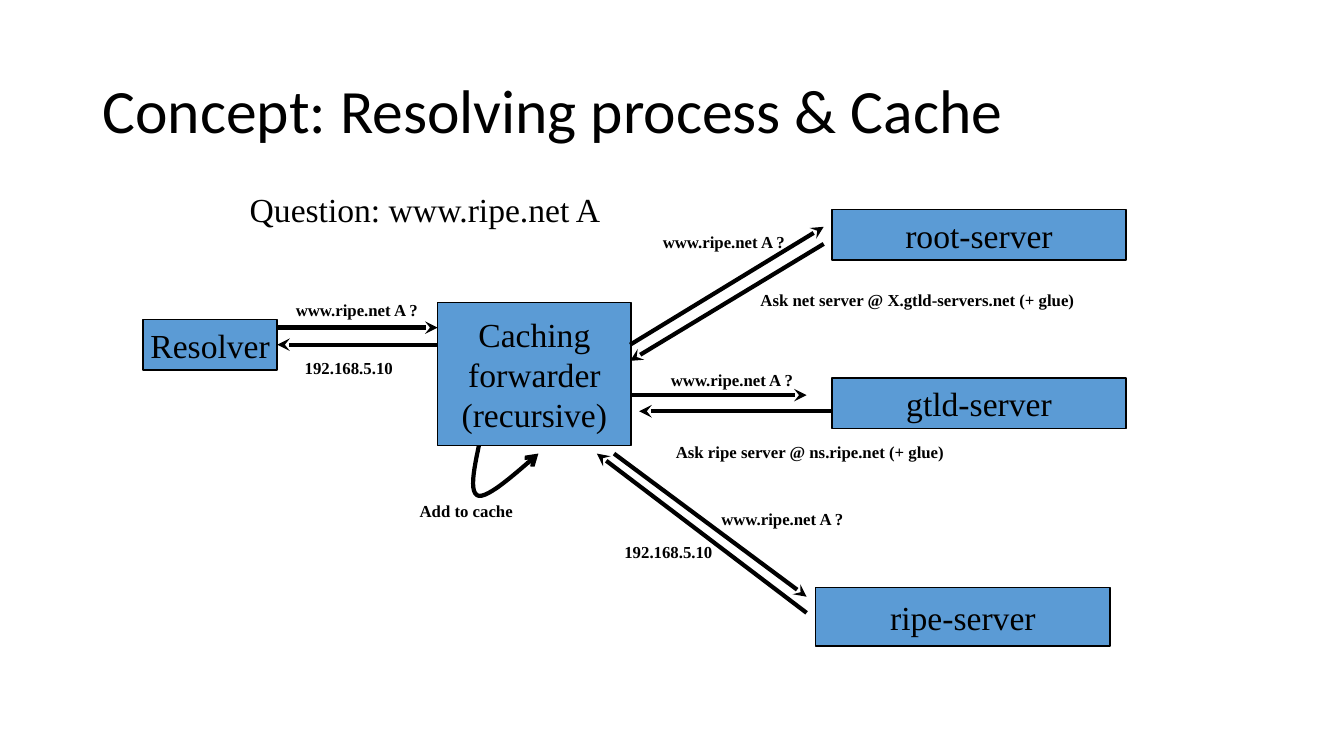
from dataclasses import dataclass
from typing import Optional

from lxml.etree import SubElement
from pptx import Presentation
from pptx.dml.color import RGBColor
from pptx.enum.shapes import MSO_CONNECTOR as Connector, MSO_SHAPE as Shape
from pptx.enum.text import MSO_ANCHOR as Anchor, MSO_AUTO_SIZE as AutoSize, PP_ALIGN as Align
from pptx.oxml.ns import qn
from pptx.util import Inches, Pt


@dataclass(frozen=True)
class Theme:
    ink: RGBColor = RGBColor(0x00, 0x00, 0x00)
    box_fill: RGBColor = RGBColor(0x5B, 0x9B, 0xD5)
    title_font: str = "Calibri"
    body_font: str = "Times New Roman"
    title_size: int = 44
    body_size: int = 24
    label_size: int = 12
    outline: int = 1
    arrow: int = 3


@dataclass(frozen=True)
class Box:
    text: str
    left: float
    top: float
    width: float
    height: float


@dataclass(frozen=True)
class Label:
    text: str
    left: float
    top: float
    width: float


@dataclass(frozen=True)
class Arrow:
    start: tuple[float, float]
    end: tuple[float, float]
    target: Optional[str] = None
    side: int = 0


THEME = Theme()
QUERY = "www.ripe.net A ?"
ANSWER = "192.168.5.10"
QUERY_WIDTH, ANSWER_WIDTH, SERVER_WIDTH = 1.44, 1.08, 2.92
LABEL_HEIGHT = 0.3

TITLE = Box("Concept: Resolving process & Cache", 0.92, 0.4, 11.5, 1.45)
QUESTION = Box("Question: www.ripe.net A", 2.34, 1.83, 3.75, 0.5)

BOXES = [
    Box("Resolver", 1.42, 3.17, 1.33, 0.5),
    Box("Caching\nforwarder\n(recursive)", 4.34, 3, 1.92, 1.42),
    Box("root-server", 8.25, 2.08, SERVER_WIDTH, 0.5),
    Box("gtld-server", 8.25, 3.75, SERVER_WIDTH, 0.5),
    Box("ripe-server", 8.09, 5.83, SERVER_WIDTH, 0.58),
]

ARROWS = [
    Arrow((2.75, 3.25), (4.34, 3.25)),
    Arrow((4.34, 3.42), (2.75, 3.42), "Resolver", 3),
    Arrow((6.25, 3.42), (8.17, 2.25)),
    Arrow((8.17, 2.42), (6.25, 3.58)),
    Arrow((6.25, 3.92), (8, 3.92)),
    Arrow((8.25, 4.08), (6.34, 4.08)),
    Arrow((6.09, 4.5), (8, 5.92)),
    Arrow((8, 6.08), (5.92, 4.5)),
]

LABELS = [
    Label(QUERY, 2.82, 2.92, QUERY_WIDTH),
    Label(ANSWER, 2.92, 3.5, ANSWER_WIDTH),
    Label(QUERY, 6.46, 2.25, QUERY_WIDTH),
    Label("Ask net server @ X.gtld-servers.net (+ glue)", 7.44, 2.83, 3.32),
    Label(QUERY, 6.54, 3.62, QUERY_WIDTH),
    Label("Ask ripe server @ ns.ripe.net (+ glue)", 6.6, 4.33, 2.87),
    Label(QUERY, 7.04, 5, QUERY_WIDTH),
    Label(ANSWER, 6.09, 5.33, ANSWER_WIDTH),
    Label("Add to cache", 4.06, 4.92, 1.13),
]

CACHE_LOOP = [
    ((4.75, 4.42), (4.7, 4.66), (4.65, 4.9), (4.75, 4.92)),
    ((4.75, 4.92), (4.85, 4.93), (5.09, 4.72), (5.34, 4.5)),
]
CURVE_STEPS = 12


def write(shape, text: str, size: int, font: str = THEME.body_font, bold: bool = False,
          align: Align = Align.CENTER, wrap: bool = False) -> None:
    text_frame = shape.text_frame
    text_frame.text = text
    text_frame.word_wrap = wrap
    for paragraph in text_frame.paragraphs:
        paragraph.alignment = align
        for run in paragraph.runs:
            run.font.name = font
            run.font.size = Pt(size)
            run.font.bold = bold
            run.font.color.rgb = THEME.ink


def add_text(slide, box: Box, size: int, **style):
    shape = slide.shapes.add_textbox(
        Inches(box.left), Inches(box.top), Inches(box.width), Inches(box.height))
    write(shape, box.text, size, **style)
    return shape


def add_box(slide, box: Box):
    shape = slide.shapes.add_shape(
        Shape.RECTANGLE, Inches(box.left), Inches(box.top), Inches(box.width), Inches(box.height))
    shape.shadow.inherit = False
    shape.fill.solid()
    shape.fill.fore_color.rgb = THEME.box_fill
    shape.line.color.rgb = THEME.ink
    shape.line.width = Pt(THEME.outline)
    write(shape, box.text, THEME.body_size)
    shape.text_frame.vertical_anchor = Anchor.MIDDLE
    return shape


def style_arrow(shape, head: str) -> None:
    shape.line.color.rgb = THEME.ink
    shape.line.width = Pt(THEME.arrow)
    SubElement(shape.line._get_or_add_ln(), qn("a:tailEnd"), type=head)


def add_arrow(slide, arrow: Arrow, boxes: dict) -> None:
    points = [Inches(value) for value in arrow.start + arrow.end]
    connector = slide.shapes.add_connector(Connector.STRAIGHT, *points)
    if arrow.target:
        connector.end_connect(boxes[arrow.target], arrow.side)
    style_arrow(connector, "stealth")
    SubElement(connector._element.spPr, qn("a:effectLst"))


def bezier(points, t: float) -> tuple[int, int]:
    weights = ((1 - t) ** 3, 3 * t * (1 - t) ** 2, 3 * t ** 2 * (1 - t), t ** 3)
    x, y = (sum(weight * point[axis] for weight, point in zip(weights, points)) for axis in (0, 1))
    return Inches(x), Inches(y)


def add_cache_loop(slide) -> None:
    builder = slide.shapes.build_freeform(*bezier(CACHE_LOOP[0], 0))
    builder.add_line_segments(
        [bezier(curve, step / CURVE_STEPS) for curve in CACHE_LOOP
         for step in range(1, CURVE_STEPS + 1)],
        close=False)
    loop = builder.convert_to_shape()
    loop.shadow.inherit = False
    loop.fill.background()
    style_arrow(loop, "arrow")


def main() -> None:
    presentation = Presentation()
    presentation.slide_width = Inches(13.33)
    presentation.slide_height = Inches(7.5)
    slide = presentation.slides.add_slide(presentation.slide_layouts[6])

    title = add_text(slide, TITLE, THEME.title_size, font=THEME.title_font,
                     align=Align.LEFT, wrap=True)
    title.text_frame.vertical_anchor = Anchor.MIDDLE
    title.text_frame.paragraphs[0].line_spacing = 0.9
    add_text(slide, QUESTION, THEME.body_size, wrap=True)

    boxes = {box.text: add_box(slide, box) for box in BOXES}
    for arrow in ARROWS:
        add_arrow(slide, arrow, boxes)
    add_cache_loop(slide)
    for label in LABELS:
        box = Box(label.text, label.left, label.top, label.width, LABEL_HEIGHT)
        shape = add_text(slide, box, THEME.label_size, bold=True)
        shape.text_frame.auto_size = AutoSize.SHAPE_TO_FIT_TEXT

    presentation.save("out.pptx")


if __name__ == "__main__":
    main()
